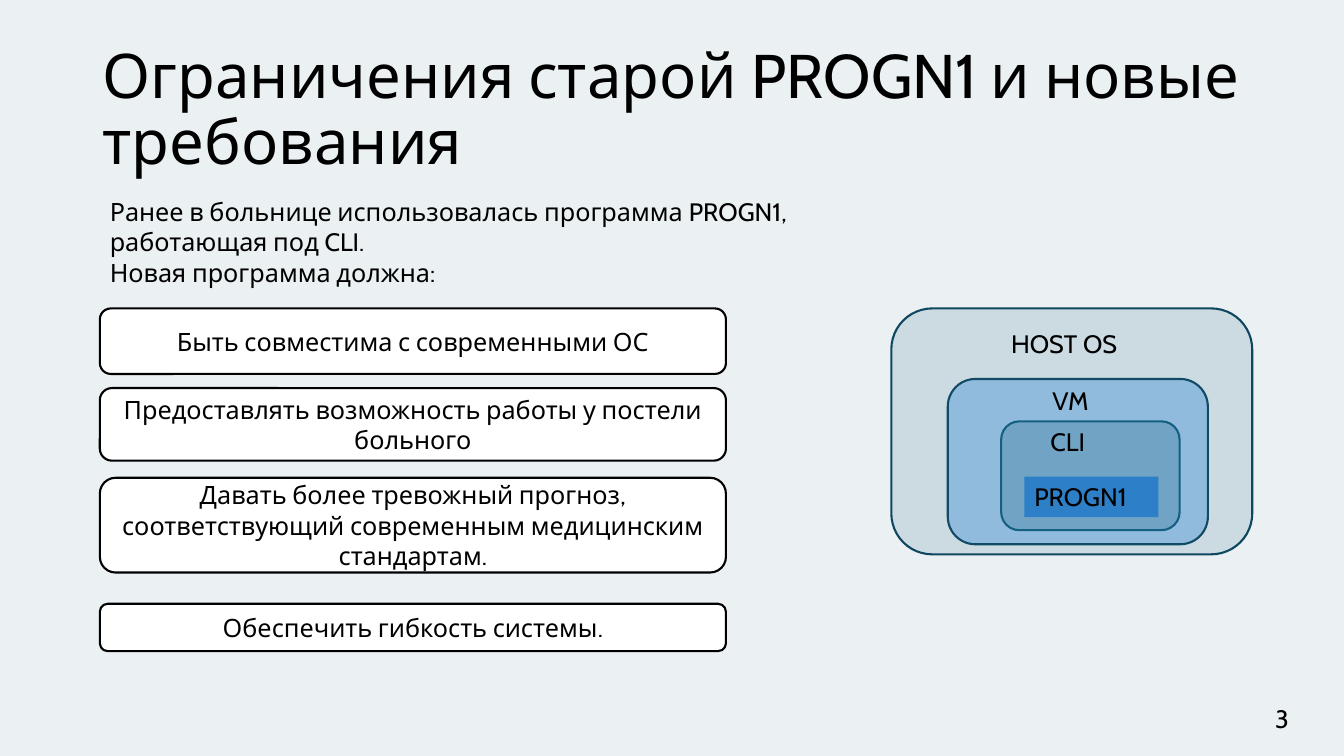
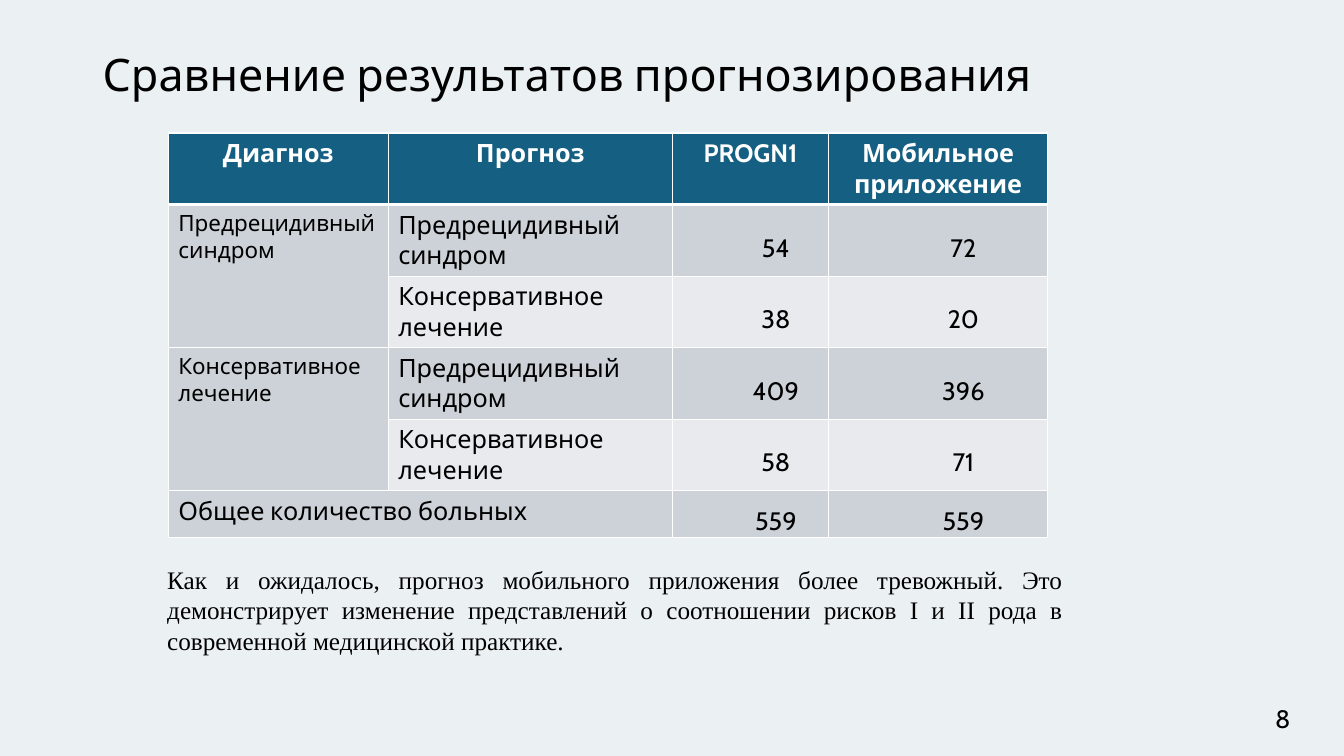
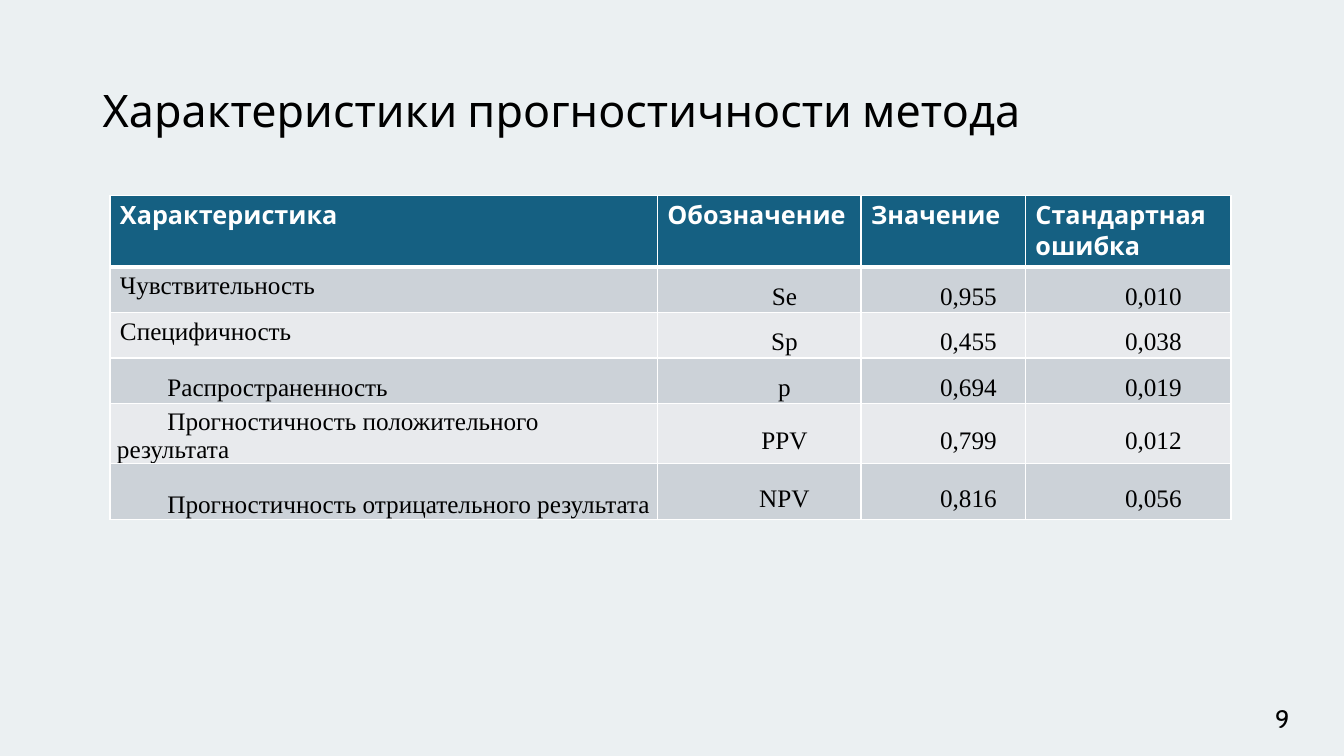
from dataclasses import dataclass

import pptx
import pptx.dml.color
import pptx.enum.shapes
import pptx.enum.text
import pptx.oxml.xmlchemy
import pptx.util
from lxml import etree
from pptx.oxml.ns import qn

ALIGN = pptx.enum.text.PP_ALIGN
ANCHOR = pptx.enum.text.MSO_ANCHOR
SHAPE = pptx.enum.shapes.MSO_SHAPE


class Theme:
    """Colours, fonts, type sizes and the grid shared by all slides."""
    cell = 0.1
    size = (133.3, 75)
    font, serif = "Cabin", "Times New Roman"
    large, title, body, small = 44, 32, 18, 16
    page, ink, white = "EBF0F2", "000000", "FFFFFF"
    teal, edge, sky, blue = "156082", "104760", "A6CAEC", "3186D3"
    bands = ("CCD2D8", "E8EAED")
    line, rule, head_rule = 1.5, 1, 3


@dataclass
class Box:
    """A rectangle in grid columns and rows."""
    x: float
    y: float
    w: float
    h: float

    def sub(self, x, y, w, h):
        """Return a box whose corner is relative to this one."""
        return Box(self.x + x, self.y + y, w, h)

    def emu(self):
        """Return left, top, width and height as lengths."""
        return [grid(v) for v in (self.x, self.y, self.w, self.h)]


@dataclass
class Kind:
    """Paragraph and margin settings of a table cell."""
    align: object = ALIGN.LEFT
    anchor: object = ANCHOR.TOP
    indent: float = 0
    spacing: float = 1
    margins: tuple = (0.1, 0.05)


TIGHT = (0.07, 0)
LABEL = Kind()
CENTRED = Kind(ALIGN.CENTER)
NUMBER = Kind(ALIGN.CENTER, ANCHOR.MIDDLE, 0.5, 1.5, TIGHT)
INDENTED = Kind(ALIGN.LEFT, ANCHOR.MIDDLE, 0.5, 1.5, TIGHT)
WRAPPED = Kind(ALIGN.LEFT, ANCHOR.BOTTOM, 0.5, 1, TIGHT)


def grid(units):
    """Turn grid units into a length."""
    return pptx.util.Inches(units * Theme.cell)


def rgb(value):
    """Turn a hex string into a colour."""
    return pptx.dml.color.RGBColor.from_string(value)


def write(tf, text, size=Theme.body, font=Theme.font, color=Theme.ink,
          bold=False, align=ALIGN.LEFT, spacing=None, indent=0):
    """Fill a text frame with one paragraph per line of text."""
    tf.word_wrap = True
    for i, line in enumerate(text.split("\n")):
        p = tf.add_paragraph() if i else tf.paragraphs[0]
        p.alignment = align
        if spacing:
            p.line_spacing = spacing
        if indent:
            p._p.get_or_add_pPr().set("indent", str(pptx.util.Inches(indent)))
        r = p.add_run()
        r.text = line
        r.font.size, r.font.name, r.font.bold = pptx.util.Pt(size), font, bold
        r.font.color.rgb = rgb(color)


def add_text(s, box, text, anchor=ANCHOR.TOP, **style):
    """Place a text box."""
    tf = s.shapes.add_textbox(*box.emu()).text_frame
    tf.vertical_anchor = anchor
    write(tf, text, **style)


def add_block(s, box, fill, line=None, alpha=None, shape=SHAPE.ROUNDED_RECTANGLE):
    """Place a filled shape, optionally see-through or outlined."""
    sp = s.shapes.add_shape(shape, *box.emu())
    sp.shadow.inherit = False
    sp.fill.solid()
    sp.fill.fore_color.rgb = rgb(fill)
    if alpha:
        clr = sp._element.spPr.find(qn("a:solidFill"))[0]
        etree.SubElement(clr, qn("a:alpha")).set("val", str(alpha * 1000))
    if line:
        sp.line.color.rgb = rgb(line)
        sp.line.width = pptx.util.Pt(Theme.line)
    else:
        sp.line.fill.background()
    return sp


def new_slide(prs, title, number, title_box, size=Theme.title):
    """Add a slide with its title and page number."""
    s = prs.slides.add_slide(prs.slide_layouts[6])
    add_text(s, title_box, title, ANCHOR.MIDDLE, size=size, spacing=0.9)
    add_text(s, Box(125.5, 69.3, 6.3, 4), str(number))
    return s


def add_cards(s, box, cards):
    """Stack outlined cards, each with its row, height and text."""
    for row, height, text in cards:
        sp = add_block(s, box.sub(0, row, box.w, height), Theme.white, Theme.ink)
        sp.text_frame.vertical_anchor = ANCHOR.MIDDLE
        write(sp.text_frame, text, align=ALIGN.CENTER)
    return s


def add_layers(s, box):
    """Draw the nested environments in which the old program runs."""
    add_block(s, box.sub(5.6, 7, 25.8, 16.4), Theme.sky, Theme.edge)
    add_block(s, box.sub(10.9, 11.2, 17.7, 10.8), Theme.teal, Theme.teal, 25)
    add_block(s, box.sub(13.2, 16.7, 13.3, 4), Theme.blue, shape=SHAPE.RECTANGLE)
    add_block(s, box, Theme.teal, Theme.edge, 14)
    for x, y, w, name in ((10.9, 1.5, 16, "HOST OS"), (15, 7.1, 7.8, "VM"),
                          (14.8, 11.2, 8.6, "CLI"), (13.2, 16.7, 13.3, "PROGN1")):
        add_text(s, box.sub(x, y, w, 4), name)


def set_borders(cell, top, bottom):
    """Give a cell white borders with the chosen top and bottom widths."""
    tcPr = cell._tc.get_or_add_tcPr()
    for tag, width in zip(("lnL", "lnR", "lnT", "lnB"),
                          (Theme.rule, Theme.rule, top, bottom)):
        ln = etree.SubElement(tcPr, qn("a:" + tag), w=str(pptx.util.Pt(width)))
        fill = etree.SubElement(ln, qn("a:solidFill"))
        etree.SubElement(fill, qn("a:srgbClr"), val=Theme.white)


def fill_cell(cell, text, kind, **style):
    """Write a cell in the given kind."""
    cell.vertical_anchor = kind.anchor
    side, edge = (pptx.util.Inches(m) for m in kind.margins)
    cell.margin_left = cell.margin_right = side
    cell.margin_top = cell.margin_bottom = edge
    write(cell.text_frame, text, align=kind.align, spacing=kind.spacing,
          indent=kind.indent, **style)


def add_grid(s, box, cols, heights, rows, kinds, head=LABEL, font=Theme.font,
             merges=(), sizes=None):
    """Place a banded table; kinds holds the label kinds of each body row."""
    table = s.shapes.add_table(len(rows), len(cols), *box.emu()).table
    for col, width in zip(table.columns, cols):
        col.width = grid(width)
    for row, height in zip(table.rows, heights):
        row.height = grid(height)
    for i, row in enumerate(rows):
        for j, text in enumerate(row):
            cell = table.cell(i, j)
            set_borders(cell, Theme.head_rule if i == 1 else Theme.rule,
                        Theme.rule if i else Theme.head_rule)
            cell.fill.solid()
            cell.fill.fore_color.rgb = rgb(Theme.bands[(i - 1) % 2] if i else Theme.teal)
            if text is None:
                continue
            if i:
                labels = kinds[i - 1]
                kind = labels[j] if j < len(labels) else NUMBER
                size = (sizes or {}).get((i, j), Theme.body)
                fill_cell(cell, text, kind, font=font, size=size)
            else:
                fill_cell(cell, text, head, color=Theme.white, bold=True)
    for first, last in merges:
        table.cell(*first).merge(table.cell(*last))


def limits_slide(prs):
    """Build the slide on limits and new requirements."""
    s = new_slide(prs, "Ограничения старой PROGN1 и новые требования", 3,
                  Box(9.2, 3.8, 115, 14.5), Theme.large)
    add_text(s, Box(9.9, 19, 75.8, 10.1),
             "Ранее в больнице использовалась программа PROGN1, "
             "работающая под CLI.\nНовая программа должна:")
    add_cards(s, Box(9.9, 30.6, 62.1, 34), (
        (0, 6.5, "Быть совместима с современными ОС"),
        (7.9, 7.2, "Предоставлять возможность работы у постели больного"),
        (16.8, 9.4, "Давать более тревожный прогноз, соответствующий "
                    "современным медицинским стандартам."),
        (29.3, 4.7, "Обеспечить гибкость системы.")))
    add_layers(s, Box(88.4, 30.6, 35.8, 24.4))


def comparison_slide(prs):
    """Build the slide that compares the forecasts."""
    s = new_slide(prs, "Сравнение результатов прогнозирования", 8,
                  Box(9.2, 4, 115, 7.3))
    relapse, care = "Предрецидивный синдром", "Консервативное лечение"
    add_grid(s, Box(16.7, 13.2, 87.2, 40.1), (21.8, 28.2, 15.5, 21.7),
             [7.1] * 5 + [4.6],
             (("Диагноз", "Прогноз", "PROGN1", "Мобильное приложение"),
              (relapse, relapse, "54", "72"),
              (None, care, "38", "20"),
              (care, relapse, "409", "396"),
              (None, care, "58", "71"),
              ("Общее количество больных", None, "559", "559")),
             [(LABEL, LABEL)] * 5, CENTRED,
             merges=(((1, 0), (2, 0)), ((3, 0), (4, 0)), ((5, 0), (5, 1))),
             sizes={(1, 0): Theme.small, (3, 0): Theme.small})
    add_text(s, Box(15.6, 55.5, 90.8, 10.1),
             "Как и ожидалось, прогноз мобильного приложения более тревожный. "
             "Это демонстрирует изменение представлений о соотношении рисков "
             "I и II рода в современной медицинской практике.",
             font=Theme.serif, align=ALIGN.JUSTIFY)


def accuracy_slide(prs):
    """Build the slide on the predictive value of the method."""
    s = new_slide(prs, "Характеристики прогностичности метода", 9,
                  Box(9.2, 4, 115, 14.5))
    add_grid(s, Box(10.9, 19.4, 111.2, 30.7), (54.3, 20.2, 16.3, 20.4),
             [7.1] + [4.1] * 3 + [5.5] * 2,
             (("Характеристика", "Обозначение", "Значение", "Стандартная ошибка"),
              ("Чувствительность", "Se", "0,955", "0,010"),
              ("Специфичность", "Sp", "0,455", "0,038"),
              ("Распространенность", "p", "0,694", "0,019"),
              ("Прогностичность положительного результата", "PPV", "0,799", "0,012"),
              ("Прогностичность отрицательного результата", "NPV", "0,816", "0,056")),
             [(LABEL,)] * 2 + [(INDENTED,)] + [(WRAPPED,)] * 2, font=Theme.serif)


def main():
    """Build and save the presentation."""
    prs = pptx.Presentation()
    prs.slide_width, prs.slide_height = (grid(v) for v in Theme.size)
    fill = prs.slide_master.background.fill
    fill.solid()
    fill.fore_color.rgb = rgb(Theme.page)
    limits_slide(prs)
    comparison_slide(prs)
    accuracy_slide(prs)
    prs.save("out.pptx")


if __name__ == "__main__":
    main()
